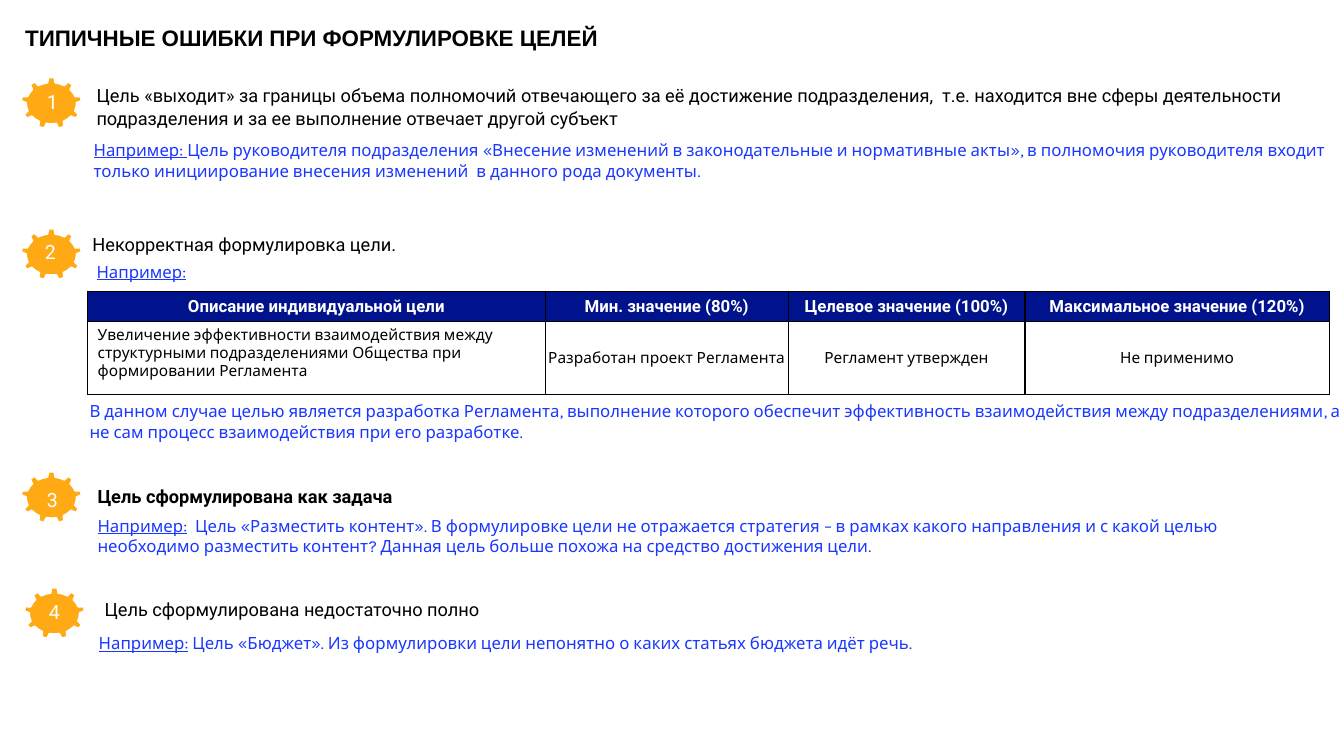
from dataclasses import dataclass

from lxml.etree import SubElement
from pptx import Presentation
from pptx.dml.color import RGBColor
from pptx.enum.shapes import MSO_SHAPE as Shape
from pptx.enum.text import MSO_ANCHOR as Anchor, MSO_AUTO_SIZE as AutoSize, PP_ALIGN as Align
from pptx.oxml.ns import qn
from pptx.slide import Slide
from pptx.table import _Cell as Cell
from pptx.util import Pt


@dataclass(frozen=True)
class Theme:
    black: str = "000000"
    white: str = "FFFFFF"
    example: str = "1A37FF"
    header: str = "00128C"
    gear: str = "FFAA14"
    title_font: str = "Arial"
    main_font: str = "Roboto"
    example_font: str = "Karla"
    title_size: float = 16
    number_size: float = 14
    error_size: float = 13
    example_size: float = 12
    cell_size: float = 11


@dataclass(frozen=True)
class Badge:
    number: str
    left: float
    top: float
    number_dx: float
    number_dy: float


@dataclass(frozen=True)
class Passage:
    text: str
    left: float
    top: float
    width: float
    height: float
    lead: str = ""  # underlined opening words
    is_example: bool = False
    bold: bool = False
    spaced: bool = False
    wrap: bool = True


THEME = Theme()

BADGES = [
    Badge("1", 15.1, 55.4, 5, 5.1),
    Badge("2", 15.1, 163.4, 3.6, 4.4),
    Badge("3", 15.1, 337, 5, 7.9),
    Badge("4", 17.3, 419.8, 4.3, 5),
]

PASSAGES = [
    Passage("Цель «выходит» за границы объема полномочий отвечающего за её достижение подразделения,  "
            "т.е. находится вне сферы деятельности подразделения и за ее выполнение отвечает другой субъект",
            61.9, 55.4, 902.2, 41, spaced=True),
    Passage("Цель руководителя подразделения «Внесение изменений в законодательные и нормативные акты», "
            "в полномочия руководителя входит только инициирование внесения изменений  "
            "в данного рода документы.",
            59.8, 95, 933.8, 36.7, lead="Например: ", is_example=True, spaced=True),
    Passage("Некорректная формулировка цели.", 59, 162, 875.5, 23, spaced=True),
    Passage("", 61.9, 182.2, 933.8, 21.6, lead="Например:", is_example=True, spaced=True),
    Passage("В данном случае целью является разработка Регламента, выполнение которого обеспечит "
            "эффективность взаимодействия между подразделениями, а не сам процесс взаимодействия "
            "при его разработке.",
            56.9, 283, 918.7, 36, is_example=True),
    Passage("Цель сформулирована как задача", 62.6, 343.4, 875.5, 23, bold=True),
    Passage("  Цель «Разместить контент». В формулировке цели не отражается стратегия – в рамках какого "
            "направления и с какой целью необходимо разместить контент? Данная цель больше похожа "
            "на средство достижения цели.",
            62.6, 365, 861.8, 36, lead="Например:", is_example=True),
    Passage("Цель сформулирована недостаточно полно", 67.7, 424.1, 287.3, 23, wrap=False),
    Passage(" Цель «Бюджет». Из формулировки цели непонятно о каких статьях бюджета идёт речь.",
            63.4, 448.6, 930.2, 21.6, lead="Например:", is_example=True),
]

COLUMN_WIDTHS = [326.9, 173.5, 169.2, 217.4]
ROW_HEIGHTS = [21.2, 52.2]
GOAL_ROWS = [
    ["Описание индивидуальной цели", "Мин. значение (80%)",
     "Целевое значение (100%)", "Максимальное значение (120%)"],
    ["Увеличение эффективности взаимодействия между структурными подразделениями Общества "
     "при формировании Регламента",
     "Разработан проект Регламента", "Регламент утвержден", "Не применимо"],
]


def rgb(value: str) -> RGBColor:
    return RGBColor.from_string(value)


def set_font(font, name: str, size: float, color: str, bold: bool = False) -> None:
    font.name, font.size, font.bold = name, Pt(size), bold
    font.color.rgb = rgb(color)


def add_heading(slide: Slide, text: str) -> None:
    heading = slide.shapes.title
    heading.left, heading.top, heading.width, heading.height = Pt(18), Pt(17.3), Pt(676.8), Pt(26)
    frame = heading.text_frame
    frame.text = text
    frame.margin_left = frame.margin_top = frame.margin_right = frame.margin_bottom = 0
    frame.vertical_anchor = Anchor.TOP
    frame.auto_size = AutoSize.NONE
    line = frame.paragraphs[0]
    line.alignment = Align.LEFT
    set_font(line.font, THEME.title_font, THEME.title_size, THEME.black, bold=True)


def add_badge(slide: Slide, badge: Badge) -> None:
    group = slide.shapes.add_group_shape()
    gear = group.shapes.add_shape(Shape.GEAR_9, Pt(badge.left), Pt(badge.top), Pt(43.2), Pt(36.7))
    gear.shadow.inherit = False
    gear.fill.solid()
    gear.fill.fore_color.rgb = rgb(THEME.gear)
    gear.line.color.rgb = rgb(THEME.white)
    gear.line.width = Pt(1)
    number = group.shapes.add_textbox(Pt(badge.left + badge.number_dx), Pt(badge.top + badge.number_dy),
                                      Pt(34.6), Pt(24.5))
    frame = number.text_frame
    frame.word_wrap = True
    frame.text = badge.number
    line = frame.paragraphs[0]
    line.alignment = Align.CENTER
    set_font(line.font, THEME.main_font, THEME.number_size, THEME.white)


def add_passage(slide: Slide, passage: Passage) -> None:
    box = slide.shapes.add_textbox(Pt(passage.left), Pt(passage.top), Pt(passage.width), Pt(passage.height))
    frame = box.text_frame
    frame.word_wrap = passage.wrap
    frame.auto_size = AutoSize.SHAPE_TO_FIT_TEXT
    line = frame.paragraphs[0]
    if passage.spaced:
        line.line_spacing, line.space_after = 1.07, Pt(8)
    if passage.is_example:
        set_font(line.font, THEME.example_font, THEME.example_size, THEME.example)
    else:
        set_font(line.font, THEME.main_font, THEME.error_size, THEME.black, passage.bold)
    if passage.lead:
        lead = line.add_run()
        lead.text = passage.lead
        lead.font.underline = True
    if passage.text:
        line.add_run().text = passage.text


def add_borders(cell: Cell) -> None:
    properties = cell._tc.get_or_add_tcPr()
    for position, side in enumerate(("a:lnL", "a:lnR", "a:lnT", "a:lnB")):
        border = properties.makeelement(qn(side), {"w": str(Pt(1))})
        properties.insert(position, border)
        SubElement(SubElement(border, qn("a:solidFill")), qn("a:srgbClr"), val=THEME.black)


def add_goal_table(slide: Slide) -> None:
    table = slide.shapes.add_table(len(ROW_HEIGHTS), len(COLUMN_WIDTHS), Pt(62.6), Pt(208.1),
                                   Pt(sum(COLUMN_WIDTHS)), Pt(sum(ROW_HEIGHTS))).table
    for column, width in zip(table.columns, COLUMN_WIDTHS):
        column.width = Pt(width)
    for row, height in zip(table.rows, ROW_HEIGHTS):
        row.height = Pt(height)
    for r, texts in enumerate(GOAL_ROWS):
        for c, text in enumerate(texts):
            cell = table.cell(r, c)
            is_header, is_value = r == 0, r > 0 and c > 0
            cell.text = text
            cell.fill.solid()
            cell.fill.fore_color.rgb = rgb(THEME.header if is_header else THEME.white)
            add_borders(cell)
            line = cell.text_frame.paragraphs[0]
            line.alignment = Align.CENTER if is_header or is_value else Align.LEFT
            if is_header:
                set_font(line.font, THEME.main_font, THEME.example_size, THEME.white, bold=True)
            else:
                set_font(line.font, THEME.example_font, THEME.cell_size, THEME.black)
            if is_value:
                cell.vertical_anchor = Anchor.MIDDLE
                cell.margin_left = cell.margin_right = cell.margin_top = cell.margin_bottom = 0


def main() -> None:
    deck = Presentation()
    deck.slide_width, deck.slide_height = Pt(960), Pt(540)
    slide = deck.slides.add_slide(deck.slide_layouts[5])  # title only

    # Heading
    add_heading(slide, "ТИПИЧНЫЕ ОШИБКИ ПРИ ФОРМУЛИРОВКЕ ЦЕЛЕЙ")
    # Errors with their examples
    for passage in PASSAGES:
        add_passage(slide, passage)
    # Sample goal for the second error
    add_goal_table(slide)
    # Numbered gears
    for badge in BADGES:
        add_badge(slide, badge)

    deck.save("out.pptx")


if __name__ == "__main__":
    main()
